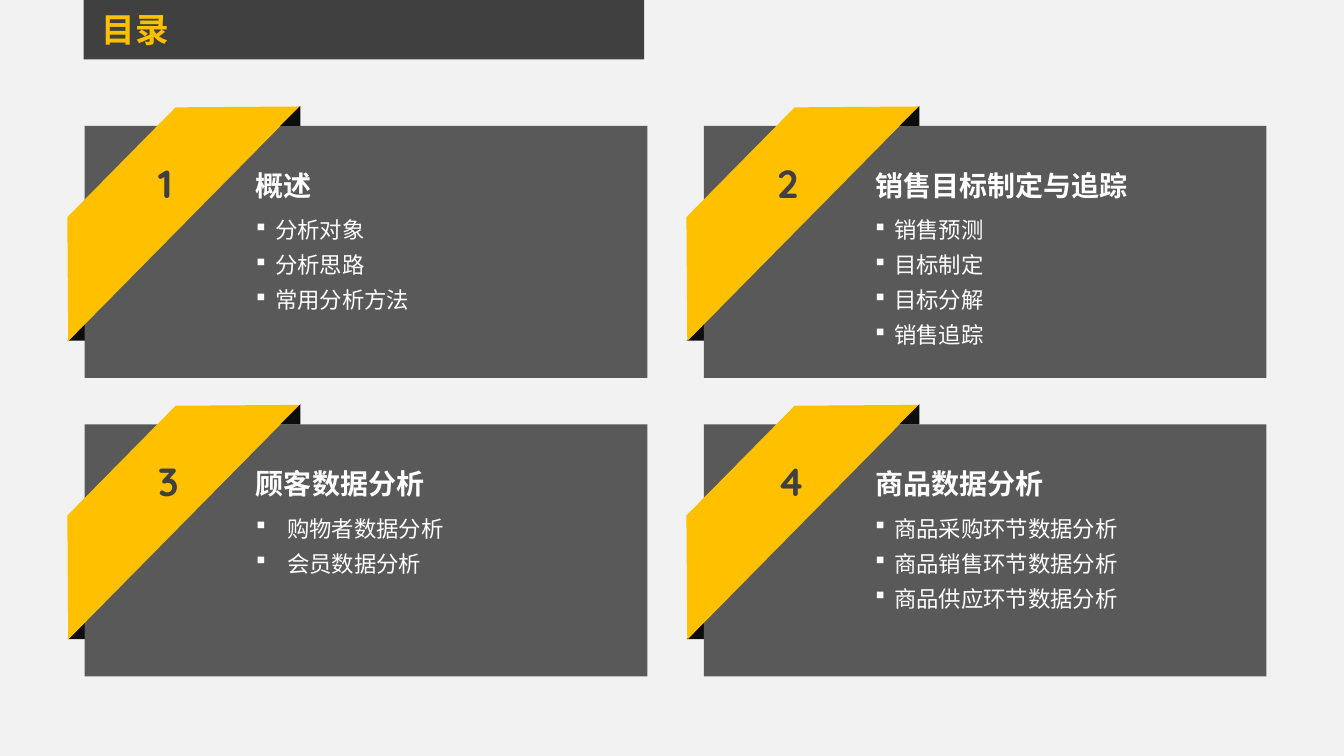
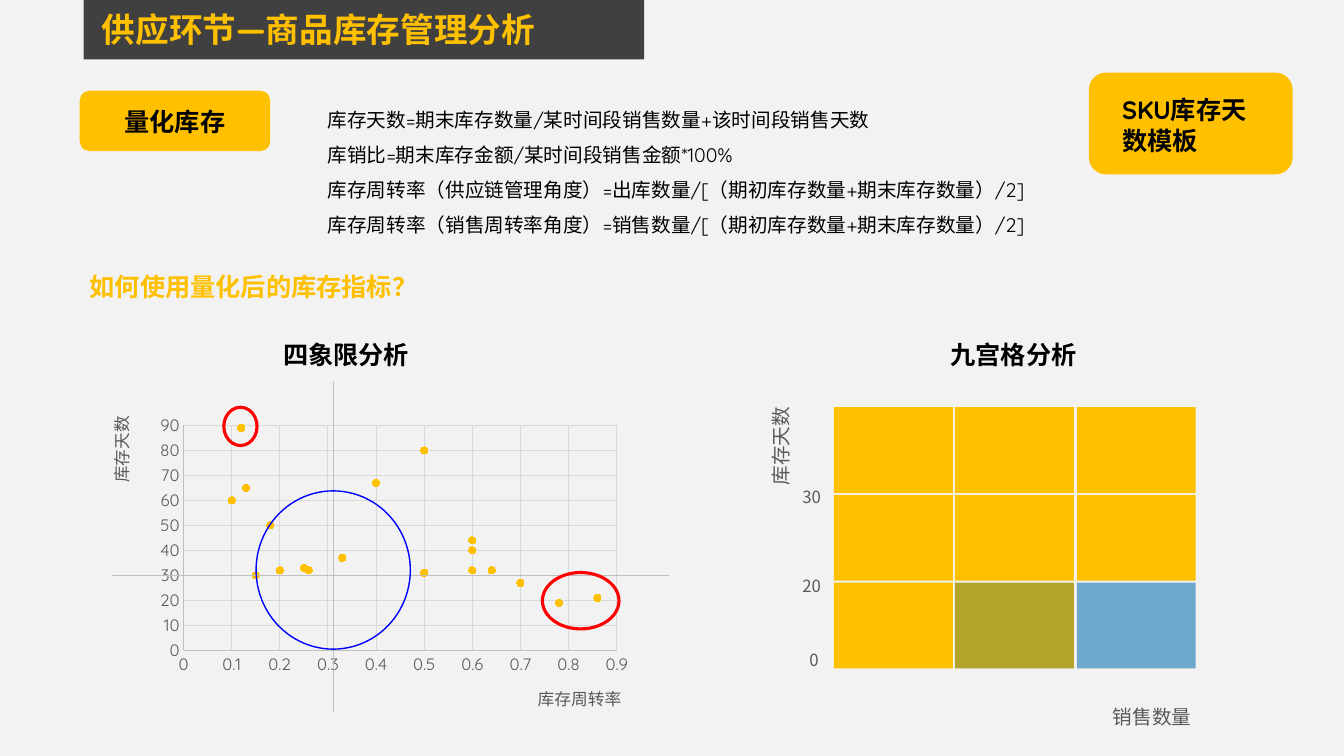
from lxml import etree
from pptx import Presentation
from pptx import util as u
from pptx.chart.data import XyChartData
from pptx.dml.color import RGBColor
from pptx.enum import chart as charts, lang, shapes, text
from pptx.oxml.ns import qn

PX = 9144
PAPER = RGBColor(0xF2, 0xF2, 0xF2)
BAND = RGBColor(0x40, 0x40, 0x40)
CARD = RGBColor(0x59, 0x59, 0x59)
FOLD = RGBColor(0x0D, 0x0D, 0x0D)
GOLD = RGBColor(0xFF, 0xC0, 0x00)
OLIVE = RGBColor(0xB2, 0xA3, 0x2B)
SKY = RGBColor(0x6E, 0xA8, 0xCC)
BLUE = RGBColor(0x00, 0x00, 0xFF)
RED = RGBColor(0xFF, 0x00, 0x00)
BLACK = RGBColor(0x00, 0x00, 0x00)
WHITE = RGBColor(0xFF, 0xFF, 0xFF)
AXIS = RGBColor(0xBF, 0xBF, 0xBF)
GRID = RGBColor(0xD9, 0xD9, 0xD9)
FONT = "Quicksand"
NUMBER_FONT = "Noto Sans CJK SC"
KIND = shapes.MSO_SHAPE


def draw(page, kind, place, fill=None, edge=None, weight=1):
    place = [n * PX for n in place]
    if kind is None:
        box = page.shapes.add_textbox(*place)
        box.text_frame.word_wrap = True
        return box
    shape = page.shapes.add_shape(kind, *place)
    shape.shadow.inherit = False
    if fill is None:
        shape.fill.background()
    else:
        shape.fill.solid()
        shape.fill.fore_color.rgb = fill
    if edge is None:
        shape.line.fill.background()
    else:
        shape.line.color.rgb = edge
        shape.line.width = u.Pt(weight)
    return shape


def write(box, lines, size, color, bold=False, spacing=None, indent=0,
          align=text.PP_ALIGN.LEFT, font=FONT):
    frame = box.text_frame
    for index, line in enumerate(lines):
        para = frame.add_paragraph() if index else frame.paragraphs[0]
        para.text = line
        para.alignment = align
        para.line_spacing = spacing
        if indent:
            layout = para._p.get_or_add_pPr()
            layout.set("marL", str(indent * PX))
            layout.set("indent", str(-indent * PX))
            etree.SubElement(layout, qn("a:buFont")).set("typeface", "Wingdings")
            etree.SubElement(layout, qn("a:buChar")).set("char", "§")
        para.font.size = u.Pt(size)
        para.font.bold = bold
        para.font.color.rgb = color
        para.font.language_id = lang.MSO_LANGUAGE_ID.SIMPLIFIED_CHINESE
        para.font.name = font
        etree.SubElement(para.font._rPr, qn("a:ea")).set("typeface", font)


deck = Presentation()
deck.slide_width, deck.slide_height = 1333 * PX, 750 * PX
master_fill = deck.slide_master.background.fill
master_fill.solid()
master_fill.fore_color.rgb = PAPER
title_only = deck.slide_layouts[5]

pages = []
for heading in ("目录", "供应环节—商品库存管理分析"):
    page = deck.slides.add_slide(title_only)
    title = page.shapes.title
    title.left, title.top, title.width, title.height = [n * PX for n in (91, 6, 521, 50)]
    title.text_frame.auto_size = text.MSO_AUTO_SIZE.NONE
    title.text_frame.vertical_anchor = text.MSO_ANCHOR.MIDDLE
    write(title, [heading], 24, GOLD, bold=True, spacing=0.9)
    pages.append(page)
contents, stock = pages

band = draw(contents, KIND.RECTANGLE, (83, 0, 556, 59), BAND)
title_only.shapes._spTree.insert(2, band._element)

chapters = [
    ("概述", 19, ["分析对象", "分析思路", "常用分析方法"]),
    ("销售目标制定与追踪", 19, ["销售预测", "目标制定", "目标分解", "销售追踪"]),
    ("顾客数据分析", 31, ["购物者数据分析", "会员数据分析"]),
    ("商品数据分析", 19, ["商品采购环节数据分析", "商品销售环节数据分析", "商品供应环节数据分析"]),
]
for index, (heading, indent, topics) in enumerate(chapters):
    row, column = divmod(index, 2)
    left, top = 84 + 614 * column, 125 + 296 * row
    lower_fold = draw(contents, KIND.ISOSCELES_TRIANGLE, (left - 17, top + 193, 20, 20), FOLD)
    draw(contents, KIND.RECTANGLE, (left, top, 558, 250), CARD)
    ribbon = draw(contents, KIND.TRAPEZOID, (left - 96, top + 23, 327, 87), GOLD)
    ribbon.rotation = 314.6
    ribbon.adjustments[0] = 1.0
    upper_fold = draw(contents, KIND.ISOSCELES_TRIANGLE, (left + 194, top - 20, 20, 20), FOLD)
    for fold in (lower_fold, upper_fold):
        fold.adjustments[0] = 1
    number = draw(contents, None, (left + 63, top + 28, 60, 57))
    write(number, [str(index + 1)], 28, BAND, bold=True)
    name = draw(contents, None, (left + 160, top + 37, 375, 44))
    write(name, [heading], 20, WHITE, bold=True)
    topic_list = draw(contents, None, (left + 160, top + 77, 375, 147))
    write(topic_list, topics, 16, WHITE, spacing=1.3, indent=indent)

label = draw(stock, KIND.ROUNDED_RECTANGLE, (79, 90, 189, 60), GOLD)
label.text_frame.vertical_anchor = text.MSO_ANCHOR.MIDDLE
write(label, ["量化库存"], 18, BLACK, bold=True, align=text.PP_ALIGN.CENTER)
draw(stock, KIND.ROUNDED_RECTANGLE, (1080, 72, 202, 101), GOLD)
formulas = draw(stock, None, (315, 90, 815, 151))
write(formulas, [
    "库存天数=期末库存数量/某时间段销售数量+该时间段销售天数",
    "库销比=期末库存金额/某时间段销售金额*100%",
    "库存周转率（供应链管理角度）=出库数量/[（期初库存数量+期末库存数量）/2]",
    "库存周转率（销售周转率角度）=销售数量/[（期初库存数量+期末库存数量）/2]",
], 14, BLACK, spacing=1.5)

for place, words, color in [
    ((1103, 89, 155, 71), "SKU库存天数模板", BLACK),
    ((79, 264, 478, 40), "如何使用量化后的库存指标？", GOLD),
    ((271, 332, 170, 40), "四象限分析", BLACK),
    ((933, 332, 170, 40), "九宫格分析", BLACK),
]:
    write(draw(stock, None, place), [words], 18, color, bold=True)

data = XyChartData()
points = data.add_series("Series 1")
for turnover, days in [
    (0.7, 27), (0.2, 32), (0.5, 80), (0.6, 44), (0.4, 67), (0.6, 40), (0.15, 30),
    (0.1, 60), (0.13, 65), (0.12, 89), (0.18, 50), (0.25, 33), (0.26, 32), (0.33, 37),
    (0.78, 19), (0.86, 21), (0.6, 32), (0.64, 32), (0.5, 31),
]:
    points.add_data_point(turnover, days)
chart = stock.shapes.add_chart(
    charts.XL_CHART_TYPE.XY_SCATTER, *[n * PX for n in (95, 404, 544, 305)], data).chart
chart.has_legend = False
chart.has_title = False
chart.font.name = FONT
chart.font.size = u.Pt(12)
chart.font.color.rgb = CARD
plot = chart.plots[0]
plot.vary_by_categories = False
series = plot.series[0]
series.format.line.fill.background()
series.marker.style = charts.XL_MARKER_STYLE.CIRCLE
series.marker.size = 5
series.marker.format.fill.solid()
series.marker.format.fill.fore_color.rgb = GOLD
series.marker.format.line.fill.background()

for axis, caption, top_value, step in [
    (chart.category_axis, "库存周转率", 0.9, 0.1),
    (chart.value_axis, "库存天数", 90, 10),
]:
    axis.minimum_scale, axis.maximum_scale, axis.major_unit = 0, top_value, step
    axis.major_tick_mark = axis.minor_tick_mark = charts.XL_TICK_MARK.NONE
    axis.format.line.color.rgb = AXIS
    axis.format.line.width = u.Pt(0.75)
    axis.has_major_gridlines = True
    axis.major_gridlines.format.line.color.rgb = GRID
    axis.major_gridlines.format.line.width = u.Pt(0.75)
    write(axis.axis_title, [caption], 12, CARD)
chart.value_axis.axis_title.text_frame._txBody.bodyPr.set("rot", "-5400000")

plot_area = chart._chartSpace.chart.plotArea
for parent, index, settings in [
    (plot_area, 0, dict(layoutTarget="inner", xMode="edge", yMode="edge",
                        x=0.16, y=0.06, w=0.79, h=0.74)),
    (chart.category_axis.axis_title._element, 1,
     dict(xMode="edge", yMode="edge", x=0.8, y=0.91)),
    (chart.value_axis.axis_title._element, 1,
     dict(xMode="edge", yMode="edge", x=0.02, y=0.02)),
]:
    layout = parent.find(qn("c:layout"))
    if layout is None:
        layout = etree.Element(qn("c:layout"))
        parent.insert(index, layout)
    manual = etree.SubElement(layout, qn("c:manualLayout"))
    for key, value in settings.items():
        etree.SubElement(manual, qn("c:" + key)).set("val", str(value))

for ends in [(331, 706, 331, 378), (111, 571, 664, 571)]:
    divider = stock.shapes.add_connector(
        shapes.MSO_CONNECTOR.STRAIGHT, *[n * PX for n in ends])
    divider.line.color.rgb = AXIS
    divider.line.width = u.Pt(0.5)
    etree.SubElement(divider._element.spPr, qn("a:effectLst"))
for place, color, weight in [
    ((254, 487, 153, 157), BLUE, 1),
    ((222, 404, 33, 38), RED, 2.25),
    ((538, 568, 76, 56), RED, 2.25),
]:
    draw(stock, KIND.OVAL, place, edge=color, weight=weight)

cell_colors = [[GOLD] * 3, [GOLD] * 3, [GOLD, OLIVE, SKY]]
for row, colors in enumerate(cell_colors):
    for column, color in enumerate(colors):
        place = (827 + 241 * column // 2, 404 + 87 * row, 118, 85)
        draw(stock, KIND.RECTANGLE, place, color)

days_label = draw(stock, None, (720, 420, 109, 34))
days_label.rotation = 270
write(days_label, ["库存天数"], 14, CARD)
write(draw(stock, None, (1094, 694, 109, 34)), ["销售数量"], 14, CARD)
for left, top, mark in [(793, 640, "0"), (786, 566, "20"), (786, 478, "30")]:
    write(draw(stock, None, (left, top, 45, 30)), [mark], 12, CARD, font=NUMBER_FONT)

deck.save("out.pptx")
